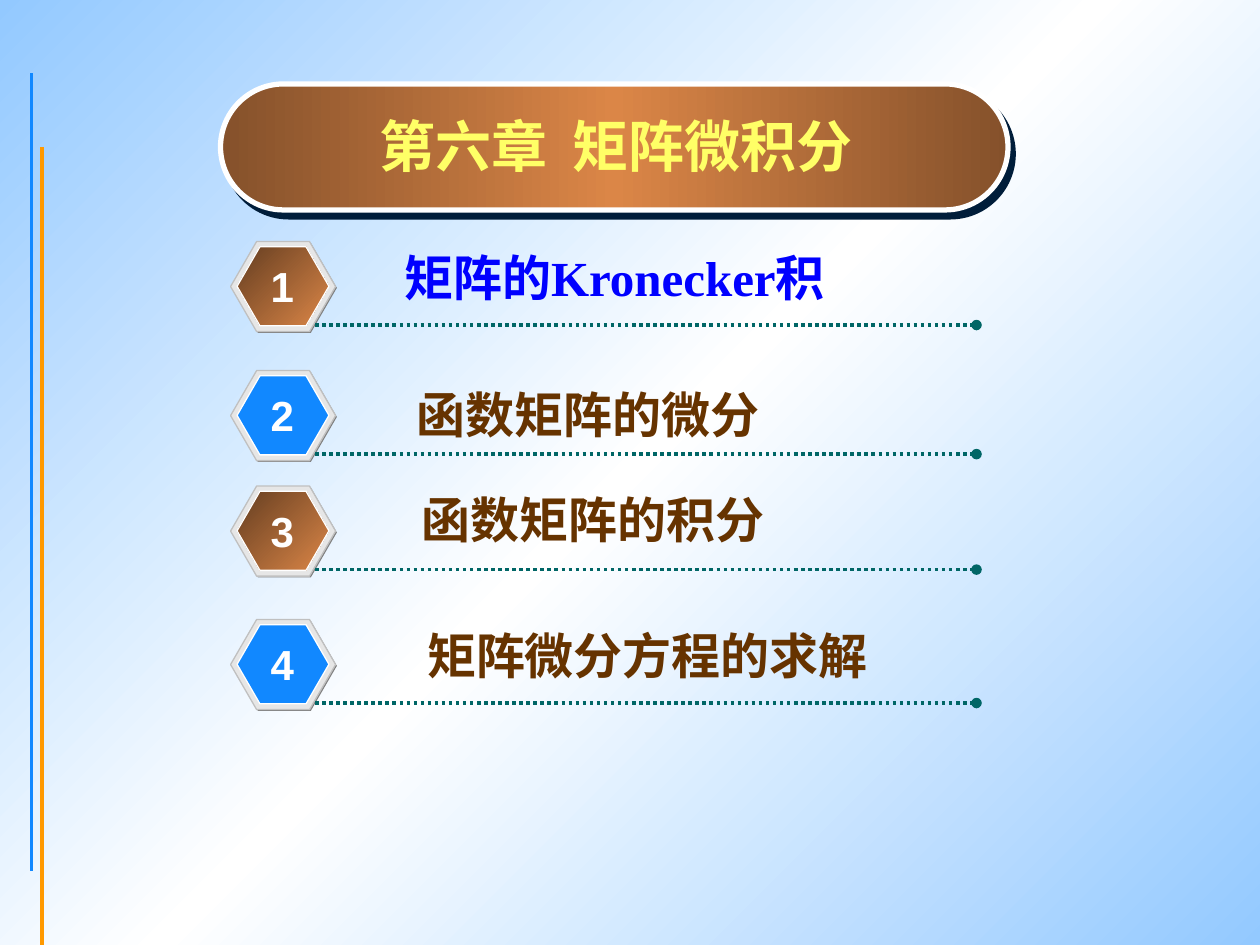
"""Build the outline slide of chapter six, matrix calculus."""
from dataclasses import dataclass
from typing import Any, Optional

from lxml.etree import SubElement
from pptx import Presentation
from pptx.dml.color import RGBColor
from pptx.enum.dml import MSO_LINE
from pptx.enum.shapes import MSO_CONNECTOR, MSO_SHAPE
from pptx.enum.text import MSO_ANCHOR, MSO_AUTO_SIZE, PP_ALIGN
from pptx.oxml.ns import qn
from pptx.util import Pt


@dataclass(frozen=True)
class Theme:
    sky: tuple = ("93C9FF", "FFFFFF", "93C9FF")
    banner: tuple = ("85512B", "DB8647", "85512B")
    bronze: tuple = ("653E21", "DB8647")
    blue: str = "1188FF"
    orange: str = "FF9900"
    teal: str = "006666"
    white: str = "FFFFFF"
    navy: str = "001D3A"
    shade: str = "808080"
    rim: str = "E6E6E6"
    rim_edge: str = "C0C0C0"
    title: str = "FFFF66"
    current: str = "0000FF"
    label: str = "663300"
    text_font: str = "Times New Roman"
    number_font: str = "Arial"
    title_size: float = 32
    label_size: float = 28
    number_size: float = 24


@dataclass(frozen=True)
class Box:
    left: float
    top: float
    width: float
    height: float


@dataclass(frozen=True)
class Topic:
    text: str
    row_top: float
    label: Box
    color: str


THEME = Theme()
TOPICS = (
    Topic("矩阵的Kronecker积", 138, Box(224, 138, 282, 41), THEME.current),
    Topic("函数矩阵的微分", 211.75, Box(231, 216, 224, 41), THEME.label),
    Topic("函数矩阵的积分", 277.75, Box(234, 276, 234, 41), THEME.label),
    Topic("矩阵微分方程的求解", 354, Box(237, 354, 280, 41), THEME.label),
)


def apply(target: Any, values: dict) -> None:
    """Set every named value on the target."""
    for name, value in values.items():
        setattr(target, name, value)


def place(box: Box) -> tuple:
    """Return the box edges as lengths."""
    return Pt(box.left), Pt(box.top), Pt(box.width), Pt(box.height)


def add_color(parent: Any, color: str) -> None:
    """Append an RGB colour element."""
    SubElement(parent, qn("a:srgbClr"), val=color)


def set_gradient(fill: Any, owner: Any, colors: tuple, angle: int) -> None:
    """Spread the colours evenly along a linear gradient."""
    fill.gradient()
    gradient = next(owner.iter(qn("a:gradFill")))
    stops = gradient.find(qn("a:gsLst"))
    for stop in list(stops):
        stops.remove(stop)
    for index, color in enumerate(colors):
        position = 100000 * index // (len(colors) - 1)
        add_color(SubElement(stops, qn("a:gs"), pos=str(position)), color)
    gradient.find(qn("a:lin")).set("ang", str(angle * 60000))


def set_line(line: Any, color: str, width: float) -> None:
    """Give a line its colour and width."""
    line.color.rgb = RGBColor.from_string(color)
    line.width = Pt(width)


def add_line(shapes: Any, start: tuple, end: tuple, color: str, width: float) -> Any:
    """Draw a straight line without shadow."""
    points = [Pt(value) for value in (*start, *end)]
    line = shapes.add_connector(MSO_CONNECTOR.STRAIGHT, *points)
    set_line(line.line, color, width)
    SubElement(line.element.spPr, qn("a:effectLst"))
    return line


def add_figure(shapes: Any, kind: Any, box: Box, adjust: float, fill: Any,
               angle: int = 0, edge: Optional[str] = None, width: float = 0.75) -> Any:
    """Draw a preset shape with a plain or gradient fill."""
    figure = shapes.add_shape(kind, *place(box))
    figure.shadow.inherit = False
    figure.adjustments[0] = adjust
    if isinstance(fill, tuple):
        set_gradient(figure.fill, figure.element, fill, angle)
    else:
        figure.fill.solid()
        figure.fill.fore_color.rgb = RGBColor.from_string(fill)
    if edge:
        set_line(figure.line, edge, width)
    else:
        figure.line.fill.background()
    return figure


def write(shape: Any, text: str, font: str, size: float, color: str,
          align: Any = PP_ALIGN.LEFT, anchor: Any = MSO_ANCHOR.MIDDLE,
          wrap: bool = True) -> None:
    """Put one bold line of text into a shape."""
    frame = shape.text_frame
    apply(frame, dict(word_wrap=wrap, auto_size=MSO_AUTO_SIZE.NONE, vertical_anchor=anchor,
                      margin_left=Pt(7.2), margin_right=Pt(7.2),
                      margin_top=Pt(3.6), margin_bottom=Pt(3.6)))
    para = frame.paragraphs[0]
    para.alignment = align
    span = para.add_run()
    span.text = text
    apply(span.font, dict(name=font, size=Pt(size), bold=True))
    span.font.color.rgb = RGBColor.from_string(color)


def add_banner(page: Any) -> None:
    """Draw the title banner with its hard shadow and title."""
    banner = add_figure(page.shapes, MSO_SHAPE.ROUNDED_RECTANGLE, Box(126, 48, 450, 72), 0.5,
                        THEME.banner, edge=THEME.white, width=3)
    effects = banner.element.spPr.find(qn("a:effectLst"))
    shadow = SubElement(effects, qn("a:outerShdw"), dist=str(Pt(5)),
                        dir=str(53 * 60000), algn="ctr", rotWithShape="0")
    add_color(shadow, THEME.navy)
    title = page.shapes.title
    apply(title, dict(zip(("left", "top", "width", "height"), place(Box(209.5, 60, 302.5, 46)))))
    write(title, "第六章  矩阵微积分", THEME.text_font, THEME.title_size, THEME.title,
          anchor=MSO_ANCHOR.TOP)
    page.shapes.element.append(title.element)


def add_topic(page: Any, number: int, topic: Topic) -> None:
    """Draw a numbered hexagon, its dotted rule and its label."""
    shapes = page.shapes.add_group_shape().shapes
    top = topic.row_top
    face = THEME.bronze if number % 2 else THEME.blue
    hexagon = MSO_SHAPE.HEXAGON
    add_figure(shapes, hexagon, Box(132.5, top + 0.75, 60, 51.5), 0.289, THEME.shade)
    add_figure(shapes, hexagon, Box(131.75, top, 60, 51.5), 0.289, THEME.rim,
               edge=THEME.rim_edge)
    add_figure(shapes, hexagon, Box(135.5, top + 3, 52.5, 45.25), 0.289, face, 45, THEME.white)
    rule = add_line(shapes, (180, top + 47.75), (558, top + 47.75), THEME.teal, 2)
    rule.line.dash_style = MSO_LINE.ROUND_DOT
    SubElement(rule.line._get_or_add_ln(), qn("a:tailEnd"), type="oval")
    badge = shapes.add_textbox(*place(Box(147.75, top + 7.5, 27.25, 36)))
    write(badge, str(number), THEME.number_font, THEME.number_size, THEME.white,
          PP_ALIGN.CENTER, MSO_ANCHOR.TOP, False)
    label = page.shapes.add_textbox(*place(topic.label))
    write(label, topic.text, THEME.text_font, THEME.label_size, topic.color)


def main() -> None:
    """Build and save the deck."""
    deck = Presentation()
    apply(deck, dict(slide_width=Pt(720), slide_height=Pt(540)))
    page = deck.slides.add_slide(deck.slide_layouts.get_by_name("Title Only"))
    set_gradient(page.background.fill, page.element, THEME.sky, 45)
    add_line(page.shapes, (24, 84), (24, 540), THEME.orange, 2.25)
    add_line(page.shapes, (18, 42), (18, 498), THEME.blue, 2.25)
    add_banner(page)
    for number, topic in enumerate(TOPICS, 1):
        add_topic(page, number, topic)
    deck.save("out.pptx")


if __name__ == "__main__":
    main()
